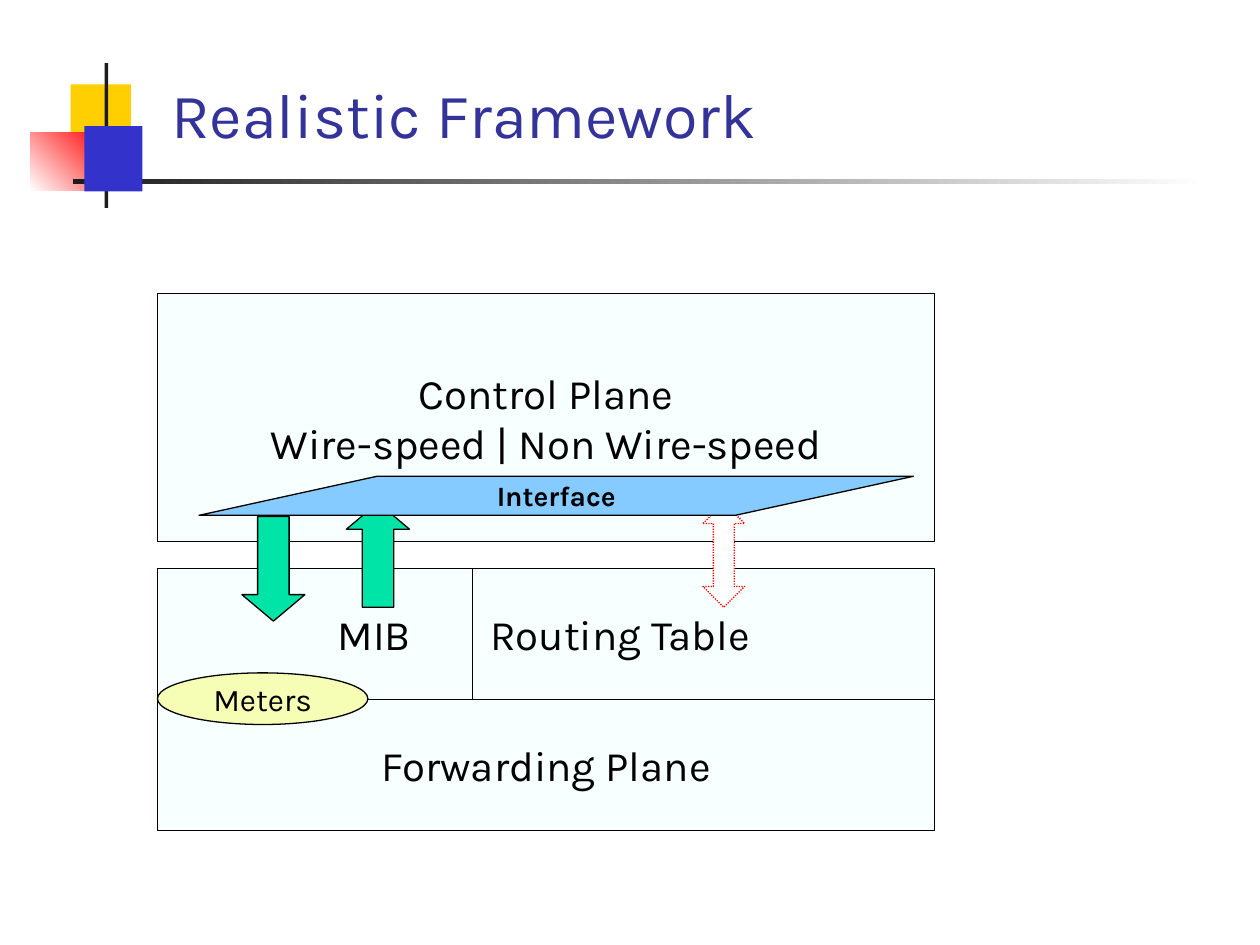
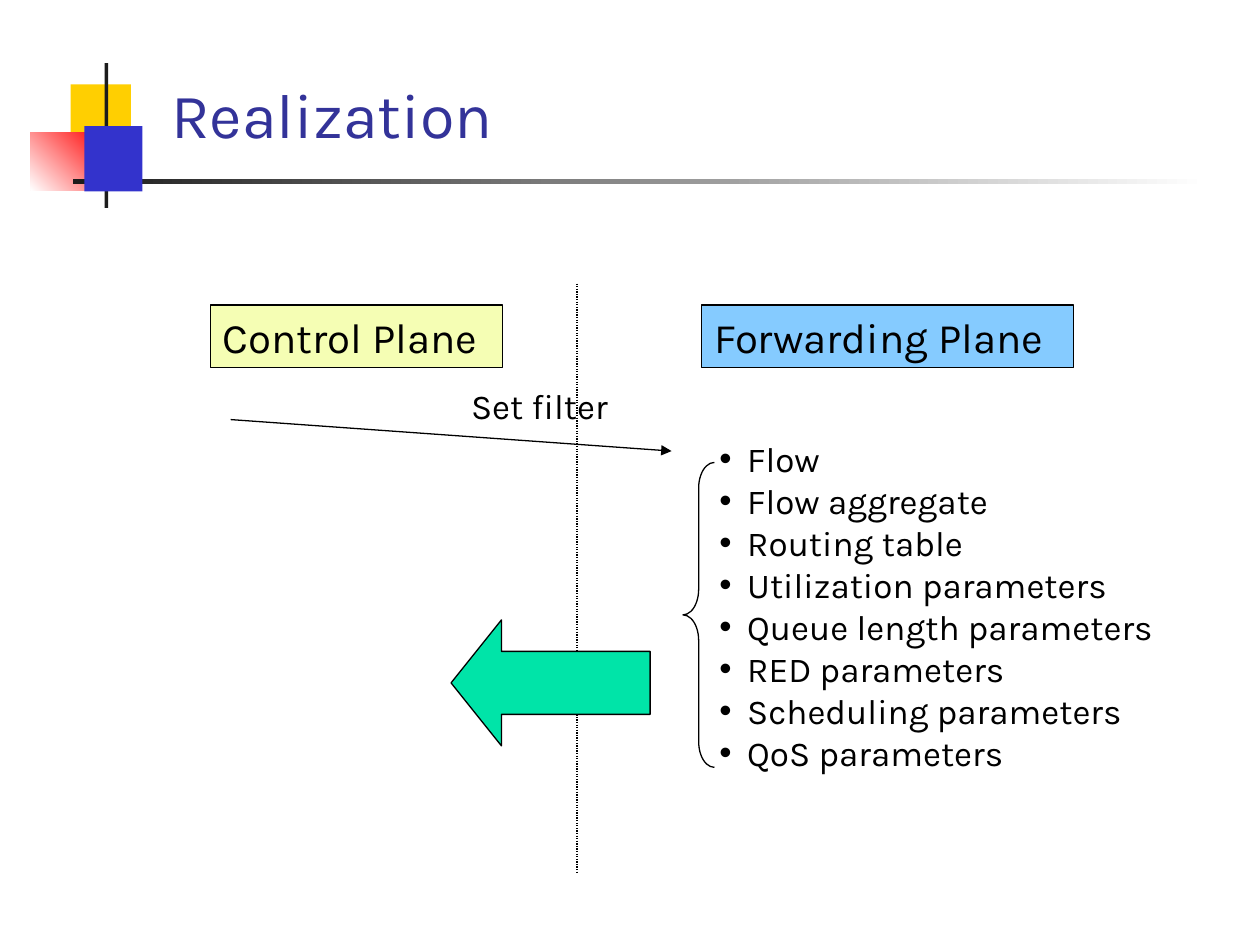
from dataclasses import dataclass

from lxml import etree
from pptx import Presentation
from pptx.dml.color import RGBColor
from pptx.enum.dml import MSO_LINE as Dash
from pptx.enum.shapes import MSO_CONNECTOR as Link, MSO_SHAPE as Kind
from pptx.enum.text import MSO_ANCHOR as Anchor, MSO_AUTO_SIZE as Fit, PP_ALIGN as Align
from pptx.oxml.ns import qn
from pptx.util import Inches, Pt


@dataclass(frozen=True)
class Theme:
    font: str = "Karla"
    ink: str = "000000"
    title: str = "333399"
    gold: str = "FFCF01"
    red: str = "FF0000"
    blue: str = "3333CC"
    dark: str = "1C1C1C"
    white: str = "FFFFFF"
    pale: str = "F7FFFF"
    green: str = "00E4A8"
    lemon: str = "F5FEB4"
    sky: str = "85CBFF"
    head: int = 36
    large: int = 24
    body: int = 20
    mid: int = 18
    small: int = 16
    line: float = 0.75


def rgb(code):
    return RGBColor.from_string(code)


class Deck:
    def __init__(self, theme):
        self.theme = theme
        self.prs = Presentation()
        self.prs.slide_width, self.prs.slide_height = Inches(10), Inches(7.5)
        self.slide = None

    def start(self, title, layout):
        """Add a slide with its title and the shared corner ornament."""
        t = self.theme
        self.slide = self.prs.slides.add_slide(self.prs.slide_layouts[layout])
        self.shape(Kind.RECTANGLE, (0.56, 0.67, 0.48, 0.52), t.gold, None)
        self.fade((0.24, 1.05, 0.61, 0.46), t.red, 225)
        self.shape(Kind.RECTANGLE, (0.83, 0.5, 0.03, 1.15), t.dark, None)
        self.fade((0.58, 1.42, 9, 0.04), t.dark, 0)
        self.shape(Kind.RECTANGLE, (0.67, 1, 0.46, 0.52), t.blue, None)
        head = self.slide.shapes.title
        self.place(head, (1.26, 0.68, 8.52, 0.57))
        self.fill_text(head, [title], t.head, t.title, Align.LEFT, Anchor.BOTTOM)

    def place(self, item, box):
        item.left, item.top, item.width, item.height = map(Inches, box)

    def fill_text(self, item, lines, size, color=None, align=Align.CENTER,
                  anchor=Anchor.MIDDLE, bold=False, bullet=None):
        frame = item.text_frame
        frame.text = "\n".join(lines)
        frame.auto_size = Fit.NONE
        frame.word_wrap = align == Align.LEFT
        frame.vertical_anchor = anchor
        for para in frame.paragraphs:
            para.alignment = align
            para.space_before = Pt(0)
            if bullet:
                props = para._p.get_or_add_pPr()
                props.set("marL", str(Inches(bullet)))
                props.set("indent", str(-Inches(bullet)))
                etree.SubElement(props, qn("a:buChar")).set("char", "•")
            font = para.font
            font.name, font.size, font.bold = self.theme.font, Pt(size), bold
            font.color.rgb = rgb(color or self.theme.ink)
        return frame

    def pen(self, line, color=None, dash=None):
        line.color.rgb = rgb(color or self.theme.ink)
        line.width = Pt(self.theme.line)
        if dash:
            line.dash_style = dash

    def shape(self, kind, box, fill, line=Theme.ink, adj=(), dash=None):
        item = self.slide.shapes.add_shape(kind, *map(Inches, box))
        item.shadow.inherit = False
        if fill:
            item.fill.solid()
            item.fill.fore_color.rgb = rgb(fill)
        else:
            item.fill.background()
        if line:
            self.pen(item.line, line, dash)
        else:
            item.line.fill.background()
        for i, value in enumerate(adj):
            item.adjustments[i] = value
        return item

    def fade(self, box, color, angle):
        """Draw a box that fades from a colour to white."""
        fill = self.shape(Kind.RECTANGLE, box, color, None).fill
        fill.gradient()
        fill.gradient_angle = angle
        for stop, code in zip(fill.gradient_stops, (color, self.theme.white)):
            stop.color.rgb = rgb(code)

    def label(self, box, text, size):
        item = self.slide.shapes.add_textbox(*map(Inches, box))
        frame = self.fill_text(item, [text], size, align=Align.LEFT,
                               anchor=Anchor.TOP)
        frame.word_wrap = False

    def bullets(self, box, lines, size, indent):
        body = self.slide.placeholders[1]
        self.place(body, box)
        self.fill_text(body, lines, size, align=Align.LEFT, anchor=Anchor.TOP,
                       bullet=indent)

    def line(self, start, end, arrow=False, dash=None):
        item = self.slide.shapes.add_connector(
            Link.STRAIGHT, *map(Inches, start + end))
        self.pen(item.line, dash=dash)
        props = item._element.spPr
        if arrow:
            tail = etree.SubElement(props.find(qn("a:ln")), qn("a:tailEnd"))
            tail.set("type", "triangle")
        etree.SubElement(props, qn("a:effectLst"))


def framework(deck):
    t = deck.theme
    deck.start("Realistic Framework", 5)

    # Planes
    left, wide, high, top = 1.25, 6.17, 1.04, 4.51
    base = top + high
    rows = [
        (2.33, 1.97, ["Control Plane", "Wire-speed | Non Wire-speed"]),
        (base, high, ["Forwarding Plane"]),
    ]
    for y, tall, lines in rows:
        plane = deck.shape(Kind.RECTANGLE, (left, y, wide, tall), t.pale)
        deck.fill_text(plane, lines, t.large)

    # Stores, set apart by a tab stop
    store = deck.shape(Kind.RECTANGLE, (left, top, wide, high), t.pale)
    frame = deck.fill_text(store, ["MIB\tRouting Table"], t.large,
                           align=Align.LEFT)
    frame.margin_left = Inches(1.43)
    props = frame.paragraphs[0]._p.get_or_add_pPr()
    tabs = etree.Element(qn("a:tabLst"))
    etree.SubElement(tabs, qn("a:tab"), pos=str(Inches(1.21)), algn="l")
    props.find(qn("a:defRPr")).addprevious(tabs)
    deck.line((3.75, top), (3.75, base))

    # Flows between the planes
    deck.shape(Kind.DOWN_ARROW, (1.92, 4.1, 0.5, 0.83), t.green, adj=(0.5, 0.42))
    deck.shape(Kind.UP_ARROW, (2.75, 3.99, 0.5, 0.83), t.green, adj=(0.5, 0.42))
    meter = deck.shape(Kind.OVAL, (left, 5.34, 1.67, 0.41), t.lemon)
    deck.fill_text(meter, ["Meters"], t.mid)
    deck.shape(Kind.UP_DOWN_ARROW, (5.58, 3.99, 0.33, 0.83), t.white, t.red,
               (0.5, 0.5), Dash.ROUND_DOT)
    face = deck.shape(Kind.PARALLELOGRAM, (1.58, 3.78, 5.67, 0.31), t.sky,
                      adj=(4.56,))
    deck.fill_text(face, ["Interface"], t.small, bold=True)


def realize(deck):
    t = deck.theme
    deck.start("Realization", 1)

    # Plane names on each side of the divider
    for x, wide, fill, name in [(1.67, 2.32, t.lemon, "Control Plane"),
                                (5.57, 2.95, t.sky, "Forwarding Plane")]:
        plane = deck.shape(Kind.RECTANGLE, (x, 2.42, wide, 0.5), fill)
        deck.fill_text(plane, [name], t.large, align=Align.LEFT,
                       anchor=Anchor.TOP)
    deck.line((4.58, 2.25), (4.58, 6.92), dash=Dash.ROUND_DOT)

    # Filter request
    deck.line((1.83, 3.33), (5.33, 3.58), arrow=True)
    deck.label((3.64, 3, 1.29, 0.44), "Set filter", t.body)

    # Filtered items and the reply
    deck.bullets((5.61, 3.42, 3.69, 2.77), [
        "Flow", "Flow aggregate", "Routing table", "Utilization parameters",
        "Queue length parameters", "RED parameters", "Scheduling parameters",
        "QoS parameters"], t.body, 0.22)
    deck.shape(Kind.LEFT_BRACE, (5.42, 3.67, 0.25, 2.42), None, adj=(0.81, 0.5))
    deck.shape(Kind.LEFT_ARROW, (3.58, 4.92, 1.58, 1), t.green, adj=(0.5, 0.4))


def main():
    deck = Deck(Theme())
    framework(deck)
    realize(deck)
    deck.prs.save("out.pptx")


if __name__ == "__main__":
    main()
